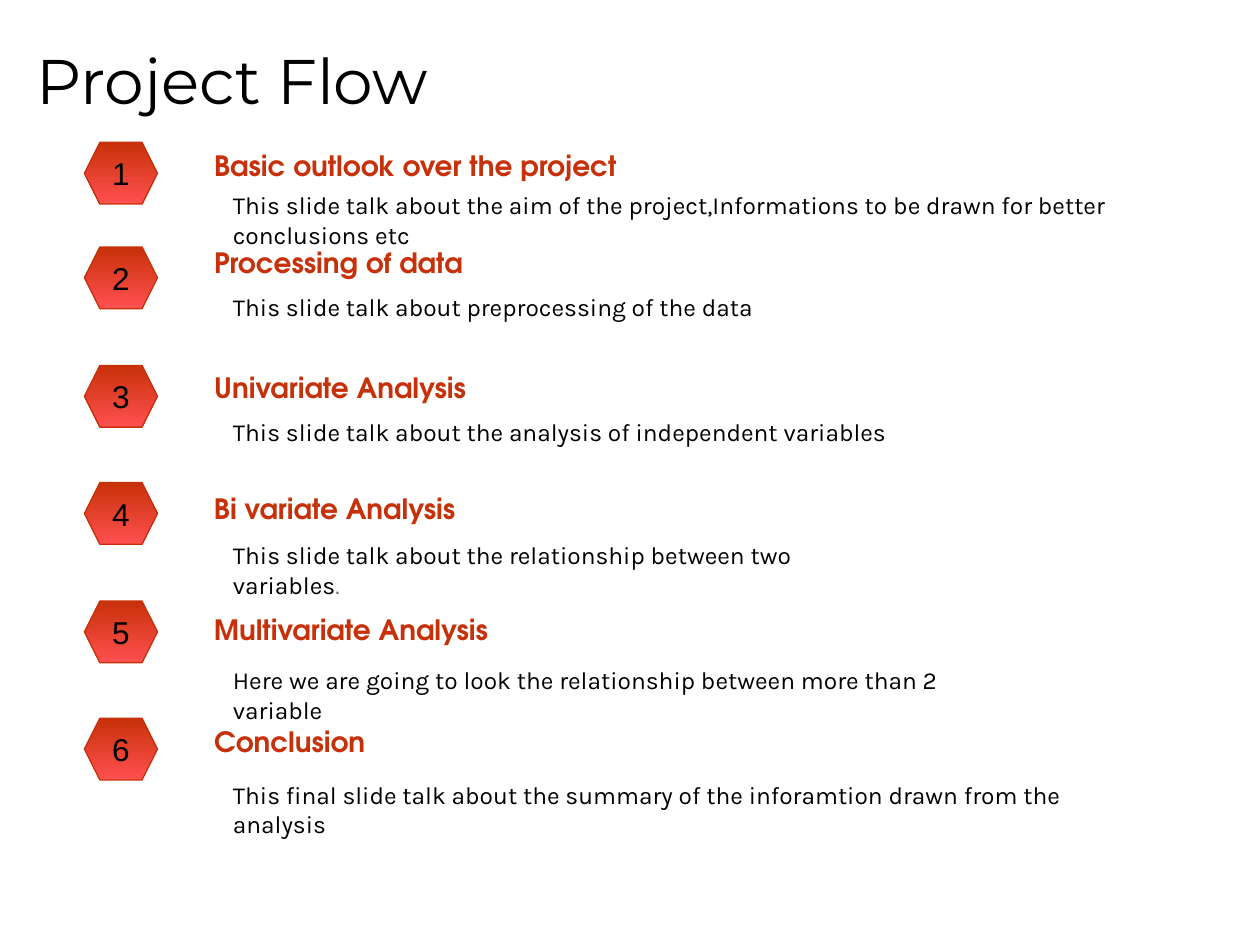
from dataclasses import dataclass

import pptx
import pptx.dml.color
import pptx.enum.shapes
import pptx.enum.text
import pptx.util
from pptx.util import Inches


@dataclass(frozen=True)
class TextStyle:
    font: str
    size: int
    color: str
    bold: bool = False


@dataclass(frozen=True)
class Theme:
    title: TextStyle = TextStyle("Montserrat", 36, "000000")
    number: TextStyle = TextStyle("Arial", 18, "000000")
    heading: TextStyle = TextStyle("TeX Gyre Adventor", 16, "C73109", True)
    body: TextStyle = TextStyle("Karla", 14, "000000")
    full_stop: str = "7F7F7F"
    badge_top: str = "C73109"
    badge_bottom: str = "FF5050"


@dataclass(frozen=True)
class Box:
    left: float
    top: float
    width: float
    height: float

    def lengths(self) -> tuple:
        return tuple(map(Inches, (self.left, self.top, self.width, self.height)))


@dataclass(frozen=True)
class Step:
    heading: str
    body: str
    badge_top: float
    heading_box: Box
    body_box: Box


THEME = Theme()
HEADING_LEFT, BODY_LEFT = 1.6, 1.75
BADGE_LEFT, BADGE_WIDTH, BADGE_HEIGHT = 0.67, 0.58, 0.49

STEPS = [
    Step("Basic outlook over the project",
         "This slide talk about the aim of the project,Informations to be drawn "
         "for better conclusions etc",
         1.13, Box(HEADING_LEFT, 1.13, 4.22, 0.37), Box(BODY_LEFT, 1.46, 8.06, 0.57)),
    Step("Processing of data", "This slide talk about preprocessing of the data",
         1.96, Box(HEADING_LEFT, 1.9, 2.19, 0.37), Box(BODY_LEFT, 2.27, 7.72, 0.33)),
    Step("Univariate Analysis",
         "This slide talk about the analysis of independent variables",
         2.9, Box(HEADING_LEFT, 2.89, 2.22, 0.37), Box(BODY_LEFT, 3.26, 7.79, 0.33)),
    Step("Bi variate Analysis",
         "This slide talk about the relationship between two variables.",
         3.83, Box(HEADING_LEFT, 3.85, 2.13, 0.37), Box(BODY_LEFT, 4.24, 5.21, 0.57)),
    Step("Multivariate Analysis",
         "Here we are going to look the relationship between more than 2 variable",
         4.77, Box(HEADING_LEFT, 4.81, 2.4, 0.37), Box(BODY_LEFT, 5.23, 6.27, 0.57)),
    Step("Conclusion",
         "This final slide talk about the summary of the inforamtion drawn from "
         "the analysis",
         5.7, Box(HEADING_LEFT, 5.7, 1.41, 0.37), Box(BODY_LEFT, 6.14, 7.02, 0.57)),
]


def rgb(color: str) -> pptx.dml.color.RGBColor:
    return pptx.dml.color.RGBColor.from_string(color)


def style_paragraph(paragraph, style: TextStyle) -> None:
    font = paragraph.font
    font.name = style.font
    font.size = pptx.util.Pt(style.size)
    font.bold = style.bold
    font.color.rgb = rgb(style.color)


def add_text(slide, box: Box, text: str, style: TextStyle, wrap: bool = True) -> None:
    frame = slide.shapes.add_textbox(*box.lengths()).text_frame
    frame.word_wrap = wrap
    frame.auto_size = pptx.enum.text.MSO_AUTO_SIZE.SHAPE_TO_FIT_TEXT
    paragraph = frame.paragraphs[0]
    style_paragraph(paragraph, style)
    paragraph.add_run().text = text.removesuffix(".")
    if text.endswith("."):
        full_stop = paragraph.add_run()
        full_stop.text = "."
        full_stop.font.color.rgb = rgb(THEME.full_stop)


def add_badge(slide, number: int, top: float) -> None:
    box = Box(BADGE_LEFT, top, BADGE_WIDTH, BADGE_HEIGHT)
    shape = slide.shapes.add_shape(
        pptx.enum.shapes.MSO_SHAPE.HEXAGON, *box.lengths())
    shape.shadow.inherit = False
    shape.fill.gradient()
    shape.fill.gradient_angle = 270
    colors = (THEME.badge_top, THEME.badge_bottom)
    for stop, position, color in zip(shape.fill.gradient_stops, (0, 1), colors):
        stop.position = position
        stop.color.rgb = rgb(color)
    shape.line.color.rgb = rgb(THEME.badge_top)
    shape.line.width = pptx.util.Pt(0.75)
    frame = shape.text_frame
    frame.word_wrap = False
    frame.vertical_anchor = pptx.enum.text.MSO_ANCHOR.MIDDLE
    paragraph = frame.paragraphs[0]
    paragraph.alignment = pptx.enum.text.PP_ALIGN.CENTER
    paragraph.add_run().text = str(number)
    style_paragraph(paragraph, THEME.number)


def main() -> None:
    presentation = pptx.Presentation()
    presentation.slide_width = Inches(10)
    presentation.slide_height = Inches(7.5)
    slide = presentation.slides.add_slide(presentation.slide_layouts[6])

    # Title
    add_text(slide, Box(0.19, 0.28, 4.41, 0.71), "Project Flow", THEME.title)

    # Numbered steps
    for number, step in enumerate(STEPS, start=1):
        add_badge(slide, number, step.badge_top)
        add_text(slide, step.heading_box, step.heading, THEME.heading, wrap=False)
        add_text(slide, step.body_box, step.body, THEME.body)

    presentation.save("out.pptx")


if __name__ == "__main__":
    main()
